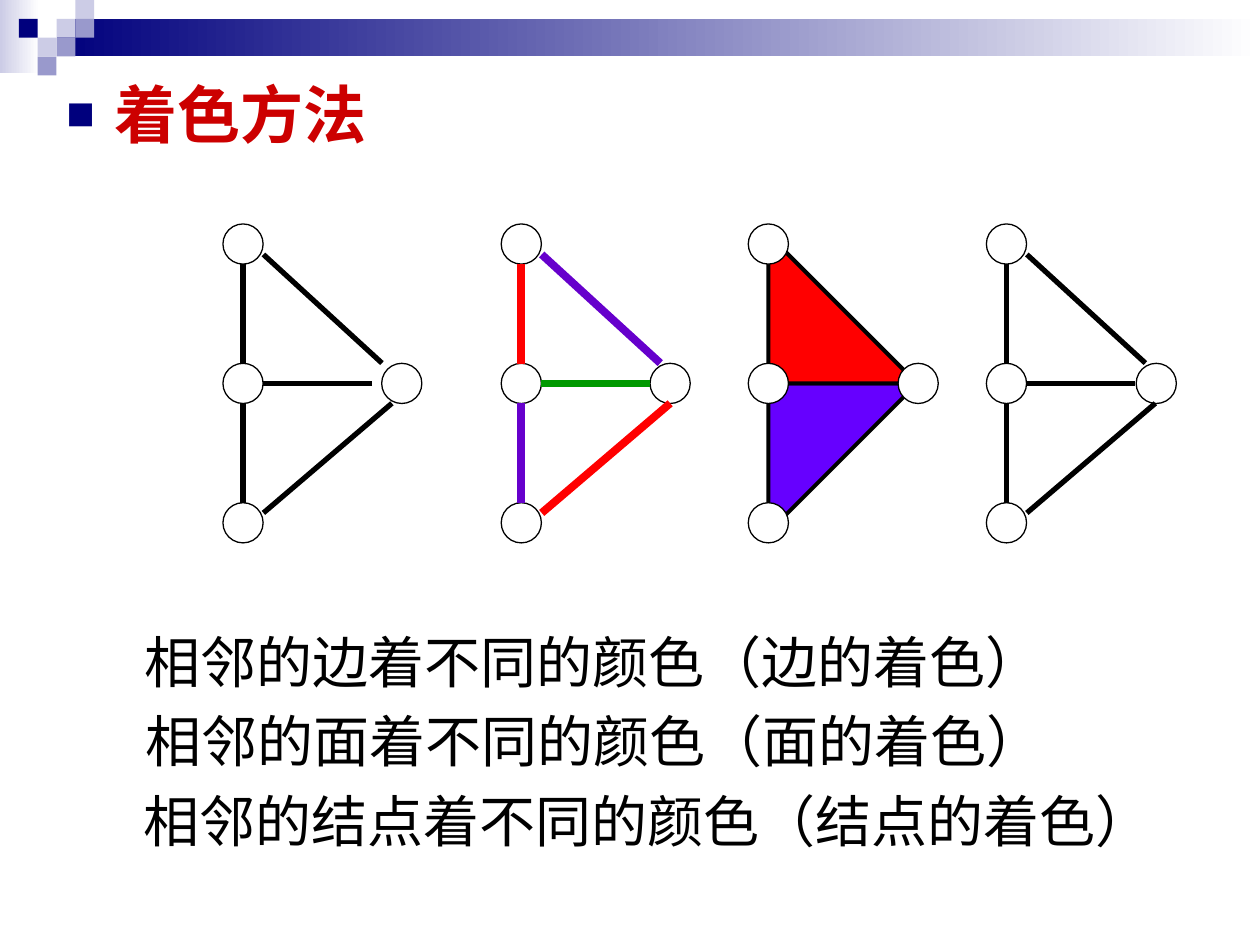
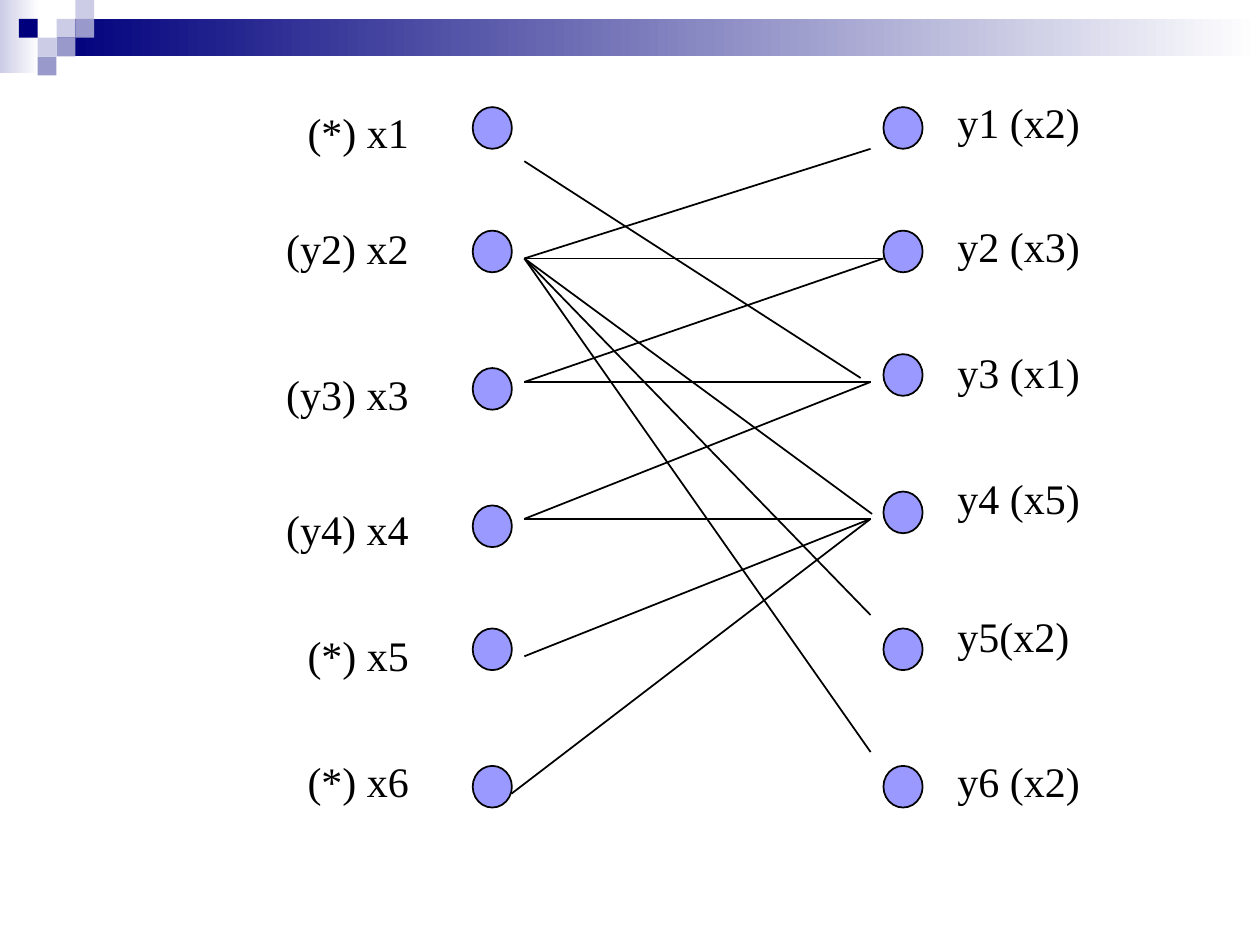
from lxml import etree
from pptx import Presentation
from pptx import util as u
from pptx.dml.color import RGBColor
from pptx.enum import shapes, text
from pptx.oxml.ns import qn

BLACK, WHITE, NAVY, LILAC, MAUVE = "000000", "FFFFFF", "00007D", "CCCCE6", "9999CC"
RED, VIOLET, PURPLE, GREEN = "FF0000", "6600FF", "6600CC", "009900"
BODY = dict(name="Times New Roman", size=32, color=BLACK, bold=False)
LABEL = {**BODY, "size": 24}
TITLE = dict(name="Arial", size=36, color="CC0000", bold=True)

SIDE = 0.38
BANDS = [((0, 0, 0.79, 1.47), LILAC), ((1.14, 0.38, 24.26, 0.76), NAVY)]
SQUARES = [(3, 1, LILAC), (4, 0, LILAC), (4, 1, MAUVE), (2, 2, LILAC),
           (1, 1, NAVY), (3, 2, MAUVE), (2, 3, MAUVE)]

HEADING = "着色方法"
RULES = [("相邻的边着不同的颜色（边的着色）", 2.67, 21.84),
         ("相邻的面着不同的颜色（面的着色）", 2.69, 21.41),
         ("相邻的结点着不同的颜色（结点的着色）", 2.64, 22.28)]
RULE_TOP, RULE_STEP = 12.52, 1.6

MID_Y, NODE_GAP, NODE = 7.73, 2.81, 0.81
EDGES = [((0, -2.4), (0, -0.4)), ((0, 0.4), (0, 2.4)), ((0.41, -2.6), (2.8, -0.41)),
         ((2.6, 0), (0.4, 0)), ((3, 0.4), (0.41, 2.61))]
GRAPHS = [
    dict(x=4.9, reach=3.2, edges=[BLACK] * 5, width=3),
    dict(x=10.51, reach=3, edges=[RED, PURPLE, PURPLE, GREEN, RED], width=4.5),
    dict(x=15.49, reach=3.02, faces=[VIOLET, RED]),
    dict(x=20.29, reach=3.02, edges=[BLACK] * 5, width=3),
]

DOT_W, DOT_H, LABEL_H = 0.79, 0.84, 1.07
COLUMNS = [
    (9.53, [("(*) x1", 2.16, 6.15, 2.11), ("(y2) x2", 4.65, 5.72, 4.45),
            ("(y3) x3", 7.42, 5.72, 7.39), ("(y4) x4", 10.19, 5.72, 10.13),
            ("(*) x5", 12.67, 6.15, 12.67), ("(*) x6", 15.44, 6.15, 15.21)]),
    (17.81, [("y1 (x2)", 2.16, 19.25, 1.91), ("y2 (x3)", 4.65, 19.25, 4.42),
             ("y3 (x1)", 7.14, 19.25, 6.96), ("y4 (x5)", 9.91, 19.25, 9.5),
             ("y5(x2)", 12.67, 19.25, 12.27), ("y6 (x2)", 15.44, 19.25, 15.21)]),
]
PORTS = {
    "x1": (10.57, 3.25), "x2": (10.57, 5.21), "x3": (10.57, 7.7),
    "x4": (10.57, 10.46), "x5": (10.57, 13.23), "x6": (10.31, 16),
    "y1": (17.55, 3), "y2": (17.81, 5.21), "y3": (17.55, 7.7), "y3 upper": (17.35, 7.62),
    "y4": (17.55, 10.46), "y4 upper": (17.58, 10.36), "y5": (17.55, 12.4), "y6": (17.55, 15.16),
}
LINKS = {"x1": ["y3 upper"], "x2": ["y1", "y2", "y4 upper", "y5", "y6"], "x3": ["y2", "y3"],
         "x4": ["y3", "y4"], "x5": ["y4"], "x6": ["y4"]}


def rgb(color):
    return RGBColor.from_string(color)


def shape(s, kind, box, fill, line=None):
    sp = s.shapes.add_shape(kind, *map(u.Cm, box))
    sp.shadow.inherit = False
    sp.fill.solid()
    sp.fill.fore_color.rgb = rgb(fill)
    if line:
        sp.line.color.rgb, sp.line.width = rgb(BLACK), u.Pt(line)
    else:
        sp.line.fill.background()
    return sp


def line(s, start, end, color, width):
    c = s.shapes.add_connector(shapes.MSO_CONNECTOR.STRAIGHT, *map(u.Cm, (*start, *end)))
    c.line.color.rgb, c.line.width = rgb(color), u.Pt(width)
    etree.SubElement(c._element.spPr, qn("a:effectLst"))


def write(s, words, box, style, inset=(0.25, 0.13), bullet=False):
    tf = s.shapes.add_textbox(*map(u.Cm, box)).text_frame
    dx, dy = map(u.Cm, inset)
    frame = dict(word_wrap=True, margin_left=dx, margin_right=dx, margin_top=dy, margin_bottom=dy)
    if bullet:
        frame["vertical_anchor"] = text.MSO_ANCHOR.MIDDLE
    for name, value in frame.items():
        setattr(tf, name, value)
    p = tf.paragraphs[0]
    if bullet:
        add_bullet(p)
    r = p.add_run()
    r.text = words
    for name in ("name", "bold"):
        setattr(r.font, name, style[name])
    r.font.size, r.font.color.rgb = u.Pt(style["size"]), rgb(style["color"])


def add_bullet(p):
    pPr = p._p.get_or_add_pPr()
    indent = u.Cm(0.96)
    pPr.set("marL", str(indent))
    pPr.set("indent", str(-indent))
    color = etree.SubElement(pPr, qn("a:buClr"))
    etree.SubElement(color, qn("a:srgbClr"), val=NAVY)
    etree.SubElement(pPr, qn("a:buSzPct"), val="75000")
    etree.SubElement(pPr, qn("a:buFont"), typeface="Arial")
    etree.SubElement(pPr, qn("a:buChar"), char="■")


def new_slide(prs):
    s = prs.slides.add_slide(prs.slide_layouts[6])
    rect = shapes.MSO_SHAPE.RECTANGLE
    for box, color in BANDS:
        sp = shape(s, rect, box, color)
        sp.fill.gradient()
        sp.fill.gradient_angle = 0
        for stop, place, tone in zip(sp.fill.gradient_stops, (0, 1), (color, WHITE)):
            stop.position, stop.color.rgb = place, rgb(tone)
    for col, row, color in SQUARES:
        shape(s, rect, (col * SIDE, row * SIDE, SIDE, SIDE), color)
    return s


def draw_graph(s, x, reach, edges=(), width=3, faces=()):
    for i, color in enumerate(faces):
        box = (x, MID_Y - 3 * i, 3, 3)
        sp = shape(s, shapes.MSO_SHAPE.RIGHT_TRIANGLE, box, color, 2.25)
        if i == 0:
            sp._element.spPr.xfrm.set("flipV", "1")
    for dx, row in [(0, -1), (0, 0), (0, 1), (reach, 0)]:
        box = (x + dx - NODE / 2, MID_Y + row * NODE_GAP - NODE / 2, NODE, NODE)
        shape(s, shapes.MSO_SHAPE.OVAL, box, WHITE, 0.75)
    for ends, color in zip(EDGES, edges):
        start, end = [(x + dx, MID_Y + dy) for dx, dy in ends]
        line(s, start, end, color, width)


def coloring_slide(prs):
    s = new_slide(prs)
    for graph in GRAPHS:
        draw_graph(s, **graph)
    for i, (words, left, width) in enumerate(RULES):
        write(s, words, (left, RULE_TOP + i * RULE_STEP, width, 1.63), BODY)
    write(s, HEADING, (1.09, 1.04, 9.6, 2.49), TITLE, bullet=True)


def matching_slide(prs):
    s = new_slide(prs)
    for dot_x, rows in COLUMNS:
        for words, dot_y, left, top in rows:
            shape(s, shapes.MSO_SHAPE.OVAL, (dot_x, dot_y, DOT_W, DOT_H), "9999FF", 1)
            write(s, words, (left, top, 3, LABEL_H), LABEL, inset=(0.05, 0.03))
    for start, ends in LINKS.items():
        for end in ends:
            line(s, PORTS[start], PORTS[end], BLACK, 1)


def main():
    """Build the two graph theory slides."""
    prs = Presentation()
    prs.slide_width, prs.slide_height = u.Cm(25.4), u.Cm(19.05)
    coloring_slide(prs)
    matching_slide(prs)
    prs.save("out.pptx")


if __name__ == "__main__":
    main()
